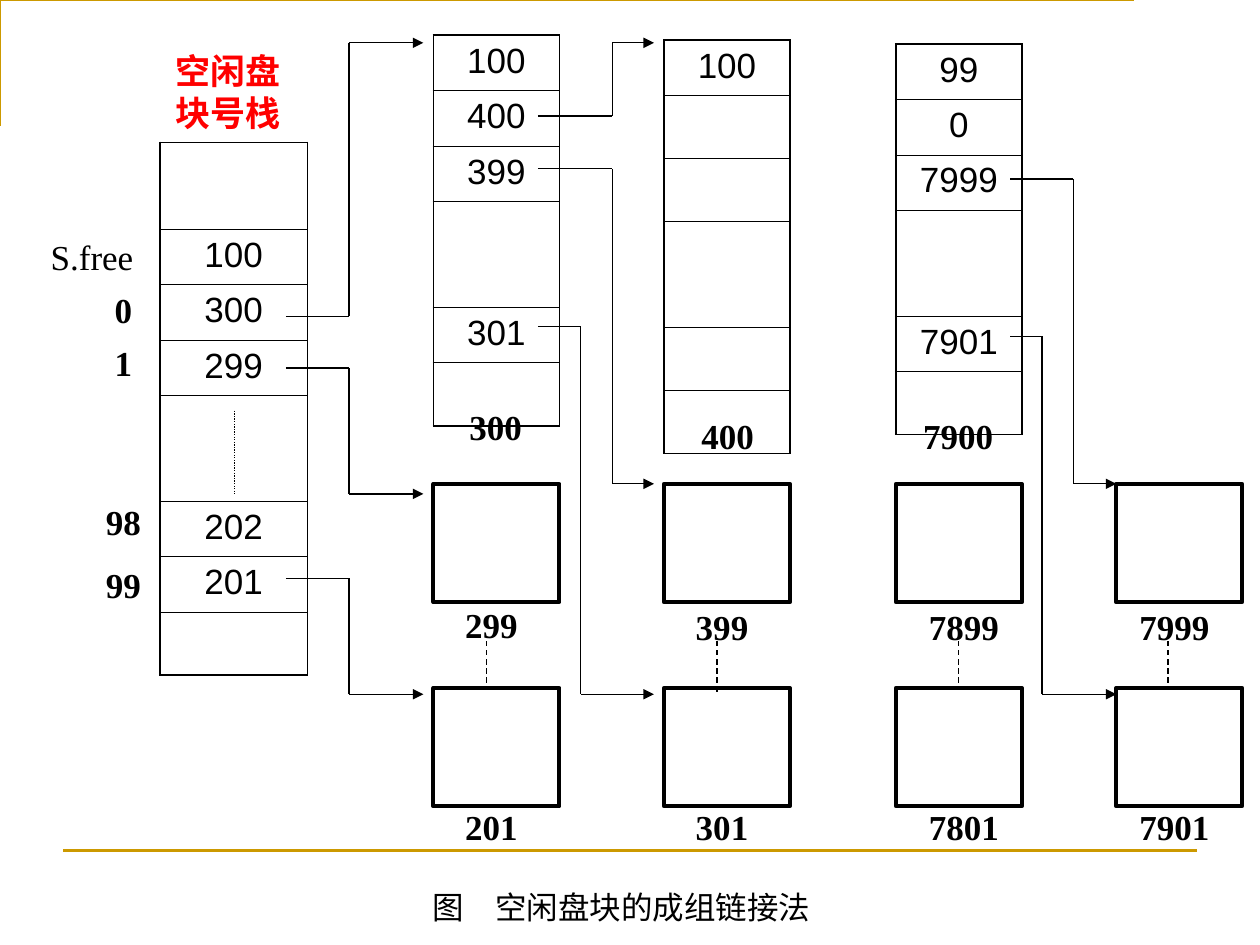
"""Builds a slide on linking free disk blocks in groups."""
from dataclasses import dataclass

from lxml.etree import SubElement
from pptx import Presentation
from pptx.dml.color import RGBColor as Color
from pptx.enum.dml import MSO_LINE_DASH_STYLE as Dash
from pptx.enum.shapes import MSO_CONNECTOR as Connector, MSO_SHAPE as Shape
from pptx.enum.text import PP_ALIGN as Align
from pptx.oxml.ns import qn
from pptx.util import Inches, Pt


@dataclass(frozen=True)
class Theme:
    ink: Color = Color.from_string("000000")
    gold: Color = Color.from_string("CC9900")
    red: Color = Color.from_string("FF0000")
    serif: str = "Times New Roman"
    sans: str = "Arial"
    chinese: str = "Noto Sans CJK SC"
    body: int = 20
    caption: int = 18
    thin: float = 0.75
    frame: float = 1.5
    block: float = 2.25
    table_outer: float = 1.08
    table_inner: float = 0.45


theme = Theme()


def write(frame, text, font=theme.serif, size=theme.body, color=theme.ink, bold=False):
    frame.word_wrap = True
    para = frame.paragraphs[0]
    para.text = text
    para.alignment = Align.CENTER
    para.font.name, para.font.size = font, Pt(size)
    para.font.color.rgb, para.font.bold = color, bold
    defaults = para._p.find(".//" + qn("a:defRPr"))
    SubElement(defaults, qn("a:ea")).set("typeface", font)


def draw_line(start, end, color=theme.ink, width=theme.thin, dash=None, arrow=False):
    line = slide.shapes.add_connector(Connector.STRAIGHT, *map(Inches, start + end))
    line.line.color.rgb, line.line.width = color, Pt(width)
    if dash:
        line.line.dash_style = dash
    if arrow:
        SubElement(line.line._get_or_add_ln(), qn("a:tailEnd")).set("type", "triangle")
    SubElement(line._element.spPr, qn("a:effectLst"))


deck = Presentation()
deck.slide_width, deck.slide_height = Inches(10), Inches(7.5)
slide = deck.slides.add_slide(deck.slide_layouts[6])

columns = [3.44, 5.27, 7.11, 8.86]
block_rows = [3.84, 5.46]
text_row, empty_row, gap_row = 0.44, 0.5, 0.84

builder = slide.shapes.build_freeform(0.42, 0.92, scale=Inches(1))
builder.add_line_segments([(0.42, 0.25), (9.42, 0.25)], close=False)
corner = builder.convert_to_shape()
corner.shadow.inherit = False
corner.fill.background()
corner.line.color.rgb, corner.line.width = theme.gold, Pt(theme.frame)
draw_line((0.5, 6.75), (9.5, 6.75), theme.gold, theme.frame)

tables = [
    (1.27, 1.13, 1.17, ["", "100", "300", "299", "", "202", "201", ""], {0: 0.69, 4: gap_row}),
    (columns[0], 0.28, 1, ["100", "400", "399", "", "301", ""], {3: gap_row}),
    (columns[1], 0.32, 1, ["100", "", "", "", "", ""], {3: gap_row}),
    (columns[2], 0.35, 1, ["99", "0", "7999", "", "7901", ""], {3: gap_row}),
]
for left, top, width, entries, special_rows in tables:
    heights = [special_rows.get(index, text_row if entry else empty_row)
               for index, entry in enumerate(entries)]
    table = slide.shapes.add_table(
        len(entries), 1, *map(Inches, (left, top, width, sum(heights)))).table
    table.first_row = table.horz_banding = False
    for index, (entry, height) in enumerate(zip(entries, heights)):
        table.rows[index].height = Inches(height)
        cell = table.cell(index, 0)
        write(cell.text_frame, entry, theme.sans)
        properties = cell._tc.get_or_add_tcPr()
        inner_sides = {"lnT": index > 0, "lnB": index < len(entries) - 1}
        for side in ("lnL", "lnR", "lnT", "lnB"):
            weight = theme.table_inner if inner_sides.get(side) else theme.table_outer
            border = SubElement(properties, qn("a:" + side))
            border.set("w", str(Pt(weight)))
            paint = SubElement(border, qn("a:solidFill"))
            SubElement(paint, qn("a:srgbClr")).set("val", str(theme.ink))
        cell.fill.background()

draw_line((1.86, 3.26), (1.86, 3.92), dash=Dash.ROUND_DOT)

for left in columns:
    for top in block_rows:
        block = slide.shapes.add_shape(Shape.RECTANGLE, *map(Inches, (left, top, 1, 0.94)))
        block.shadow.inherit = False
        block.fill.background()
        block.line.color.rgb, block.line.width = theme.ink, Pt(theme.block)

bold = {"bold": True}
labels = [
    ("空闲盘块号栈", 1.27, 0.34, 1.08, 0.77,
     {"font": theme.chinese, "color": theme.red, "bold": True}),
    ("S.free", 0.27, 1.82, 0.92, text_row, {}),
    ("0", 0.77, 2.24, 0.42, text_row, bold),
    ("1", 0.77, 2.66, 0.42, text_row, bold),
    ("98", 0.69, 3.92, 0.58, text_row, bold),
    ("99", 0.69, 4.42, 0.58, text_row, bold),
    ("300", 3.52, 3.17, 0.83, text_row, bold),
    ("400", 5.36, 3.24, 0.83, text_row, bold),
    ("7900", 7.19, 3.24, 0.83, text_row, bold),
    ("图　空闲盘块的成组链接法", 1.93, 7, 6, 0.4,
     {"font": theme.chinese, "size": theme.caption}),
]
block_names = [("299", "201"), ("399", "301"), ("7899", "7801"), ("7999", "7901")]
name_lefts = [3.44, 5.27, 7.19, 8.86]
for names, left, upper_top in zip(block_names, name_lefts, [4.74, 4.76, 4.76, 4.76]):
    for name, top in zip(names, (upper_top, 6.34)):
        labels.append((name, left, top, 0.92, text_row, bold))
for text, left, top, width, height, style in labels:
    box = slide.shapes.add_textbox(*map(Inches, (left, top, width, height)))
    write(box.text_frame, text, **style)

links = [
    (2.27, 2.51, 2.77, 3.36, 0.34),
    (2.27, 2.92, 2.77, 3.36, 3.92),
    (2.27, 4.59, 2.77, 3.36, 5.51),
    (4.27, 0.92, 4.86, 5.19, 0.34),
    (4.27, 2.59, 4.61, 5.19, 5.51),
    (4.27, 1.34, 4.86, 5.19, 3.84),
    (8.02, 2.67, 8.27, 8.86, 5.51),
    (8.02, 1.42, 8.52, 8.86, 3.84),
]
for start_x, start_y, bend_x, end_x, end_y in links:
    draw_line((start_x, start_y), (bend_x, start_y))
    draw_line((bend_x, start_y), (bend_x, end_y))
    draw_line((bend_x, end_y), (end_x, end_y), arrow=True)

for center, bottom in [(3.86, 5.42), (5.69, 5.51), (7.61, 5.42), (9.27, 5.42)]:
    draw_line((center, 5.09), (center, bottom), dash=Dash.DASH)

deck.save("out.pptx")
